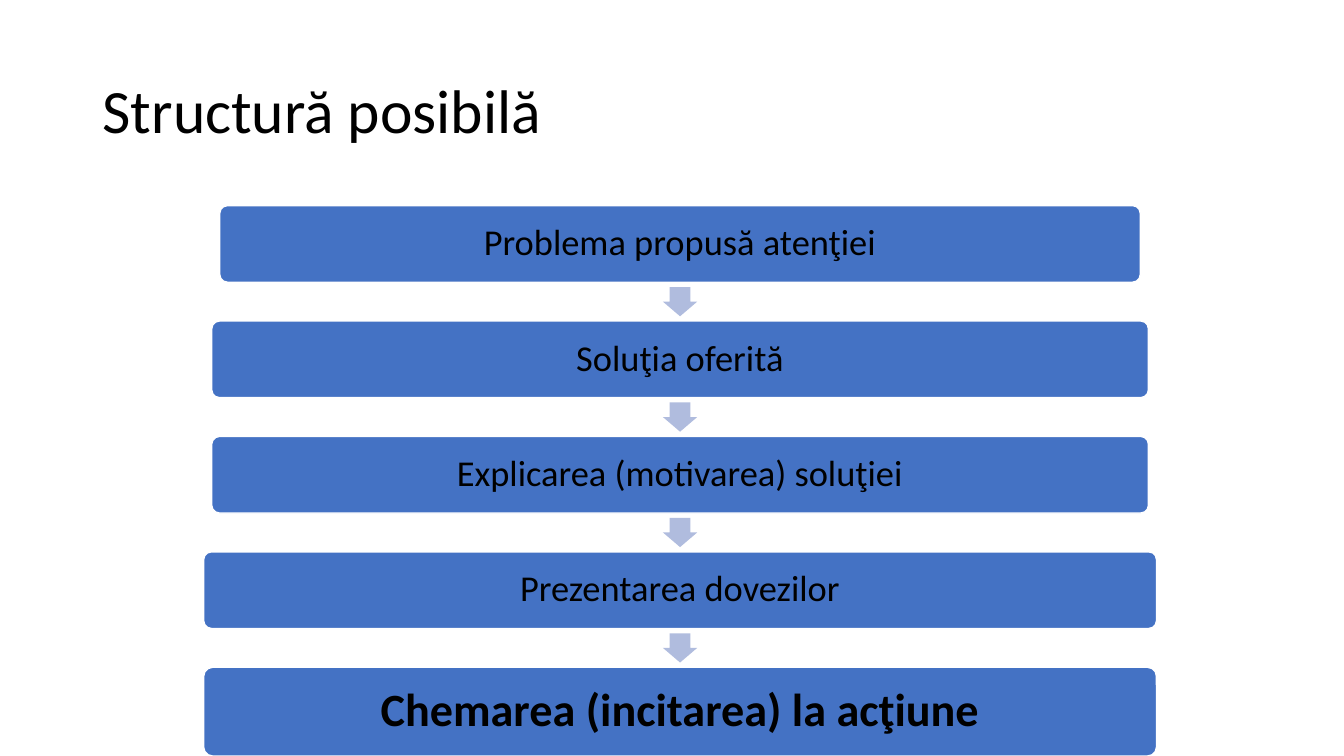
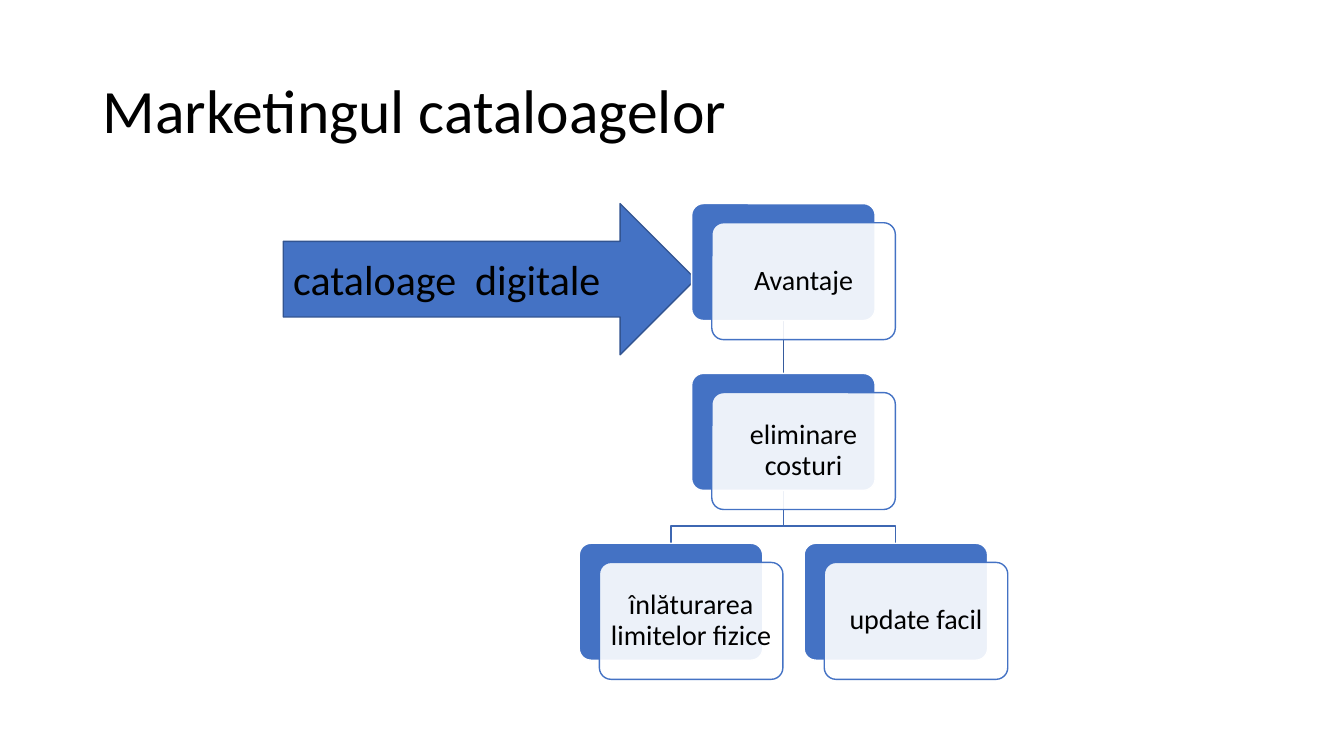
import lxml.etree
import pptx
import pptx.dml.color
import pptx.enum.shapes
import pptx.enum.text
import pptx.oxml.ns
import pptx.util

Inches = pptx.util.Inches
Kind = pptx.enum.shapes.MSO_SHAPE
Align = pptx.enum.text.PP_ALIGN

# Shared style
FONT = "Calibri"
BLUE, PALE, WHITE, BLACK = "4472C4", "B0BCDE", "FFFFFF", "000000"
EDGE, FORK, STEM = "325491", "3E67B2", "365B9D"
ROUND = 0.1

# Step list
MID = 6.745
FIRST, LAST, TALL = 2.04, 6.62, 0.76
STEPS = [
    ("Problema propusă atenţiei", 9.13),
    ("Soluţia oferită", 9.29),
    ("Explicarea (motivarea) soluţiei", 9.29),
    ("Prezentarea dovezilor", 9.45),
    ("Chemarea (incitarea) la acţiune", 9.45),
]

# Card tree: text, column, row
CARD_W, CARD_H = 1.82, 1.16
SHIFT_X, SHIFT_Y = 0.2, 0.19
CARDS = [
    ("Avantaje", 0, 0),
    ("eliminare costuri", 0, 1),
    ("înlăturarea limitelor fizice", -0.5, 2),
    ("update facil", 0.5, 2),
]


def color(code):
    return pptx.dml.color.RGBColor.from_string(code)


def write(shape, text, size, align=Align.CENTER, pad=None, space=0.9, bold=False):
    frame = shape.text_frame
    frame.text = text
    frame.word_wrap = True
    frame.vertical_anchor = pptx.enum.text.MSO_ANCHOR.MIDDLE
    if pad is not None:
        frame.margin_left = frame.margin_right = Inches(pad)
        frame.margin_top = frame.margin_bottom = Inches(pad)
    para = frame.paragraphs[0]
    para.alignment = align
    para.line_spacing = space
    font = para.runs[0].font
    font.name, font.size, font.bold = FONT, pptx.util.Pt(size), bold
    font.color.rgb = color(BLACK)


def block(slide, kind, left, top, width, height, fill, line=None, adjust=()):
    shape = slide.shapes.add_shape(
        kind, Inches(left), Inches(top), Inches(width), Inches(height))
    shape.shadow.inherit = False
    for i, value in enumerate(adjust):
        shape.adjustments[i] = value
    shape.fill.solid()
    shape.fill.fore_color.rgb = color(fill)
    if line:
        shape.line.color.rgb = color(line)
        shape.line.width = pptx.util.Pt(1)
    else:
        shape.line.fill.background()
    return shape


def fade(shape, share):
    qn = pptx.oxml.ns.qn
    tint = shape.element.spPr.find(qn("a:solidFill"))[0]
    lxml.etree.SubElement(tint, qn("a:alpha")).set("val", str(share * 1000))


def wire(slide, points, code):
    spots = [(Inches(x), Inches(y)) for x, y in points]
    if len(spots) == 2:
        line = slide.shapes.add_connector(
            pptx.enum.shapes.MSO_CONNECTOR.STRAIGHT, *spots[0], *spots[1])
        lxml.etree.SubElement(
            line.element.spPr, pptx.oxml.ns.qn("a:effectLst"))
    else:
        pen = slide.shapes.build_freeform(*spots[0])
        pen.add_line_segments(spots[1:], close=False)
        line = pen.convert_to_shape()
        line.shadow.inherit = False
        line.fill.background()
    line.line.color.rgb = color(code)
    line.line.width = pptx.util.Pt(1)


def start(deck, title):
    slide = deck.slides.add_slide(deck.slide_layouts[6])
    box = slide.shapes.add_textbox(
        Inches(0.92), Inches(0.4), Inches(11.5), Inches(1.45))
    write(box, title, 44, Align.LEFT)
    return slide


def card(slide, text, left, top):
    block(slide, Kind.ROUNDED_RECTANGLE, left, top, CARD_W, CARD_H,
          BLUE, WHITE, [ROUND])
    front = block(slide, Kind.ROUNDED_RECTANGLE, left + SHIFT_X, top + SHIFT_Y,
                  CARD_W, CARD_H, WHITE, BLUE, [ROUND])
    fade(front, 90)
    write(front, text, 20, pad=0.08)


def steps(deck):
    slide = start(deck, "Structură posibilă")
    end = len(STEPS) - 1
    pitch = (LAST - FIRST) / end
    for i, (text, width) in enumerate(STEPS):
        final = i == end
        top = FIRST + i * pitch
        bar = block(slide, Kind.ROUNDED_RECTANGLE, MID - width / 2, top, width,
                    0.88 if final else TALL, BLUE, WHITE, [ROUND])
        write(bar, text, 33 if final else 26,
              pad=0.14 if final else 0.11, bold=final)
        if not final:
            wide, high = 0.34, 0.29
            center = top + (TALL + pitch) / 2
            block(slide, Kind.DOWN_ARROW, MID - wide / 2, center - high / 2,
                  wide, high, PALE, adjust=[0.6, 0.5])


def tree(deck):
    slide = start(deck, "Marketingul cataloagelor")
    arrow = block(slide, Kind.RIGHT_ARROW, 2.81, 2.02, 4.09, 1.5, BLUE, EDGE)
    write(arrow, "cataloage  digitale", 30, Align.LEFT, space=1.0)

    # Lines lie behind the cards
    lefts = [6.86 + 2.23 * col for _, col, _ in CARDS]
    tops = [2.02 + 3.37 * row / 2 for _, _, row in CARDS]
    mids = [left + CARD_W / 2 for left in lefts]
    foot = tops[1] + CARD_H
    bend = 5.22
    for mid in mids[:1:-1]:
        wire(slide, [(mids[1], foot), (mids[1], bend),
                     (mid, bend), (mid, tops[2])], FORK)
    wire(slide, [(mids[0], tops[0] + CARD_H), (mids[1], tops[1])], STEM)

    for (text, _, _), left, top in zip(CARDS, lefts, tops):
        card(slide, text, left, top)


def main():
    deck = pptx.Presentation()
    deck.slide_width, deck.slide_height = Inches(13.33), Inches(7.5)
    steps(deck)
    tree(deck)
    deck.save("out.pptx")


if __name__ == "__main__":
    main()
